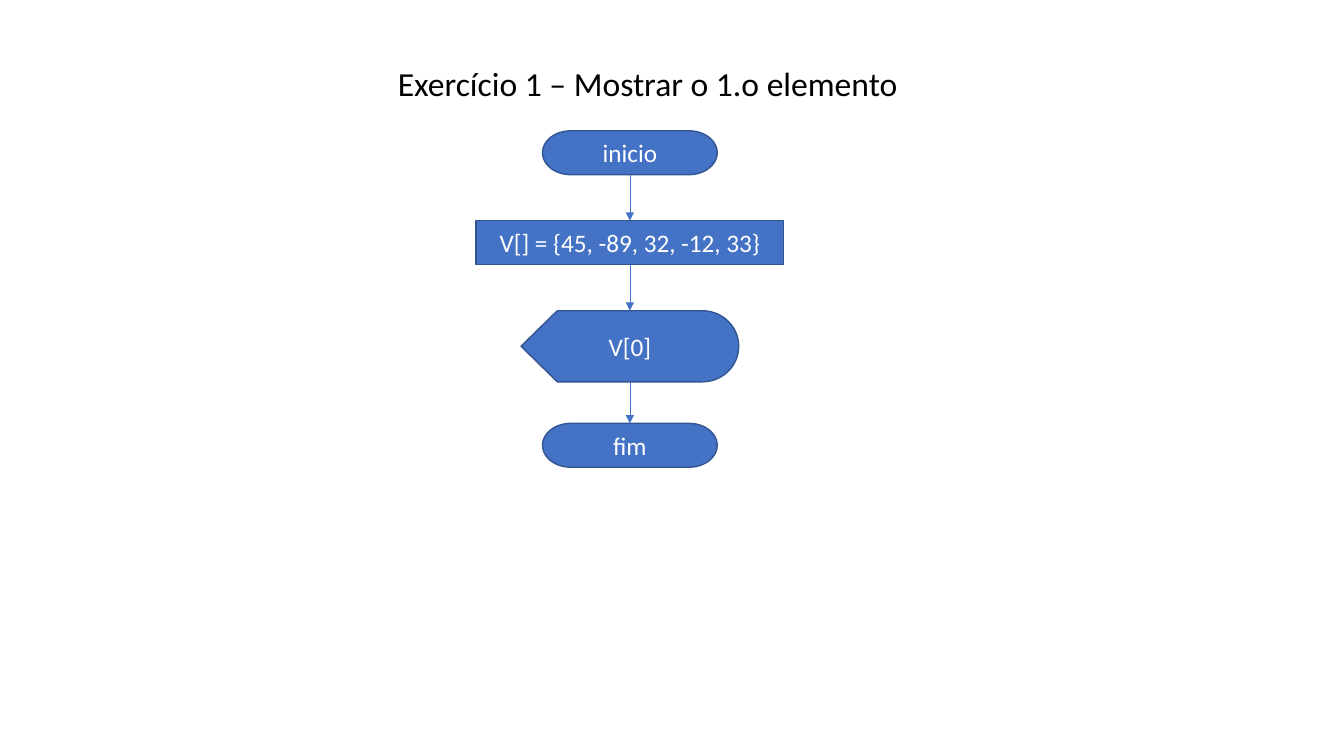
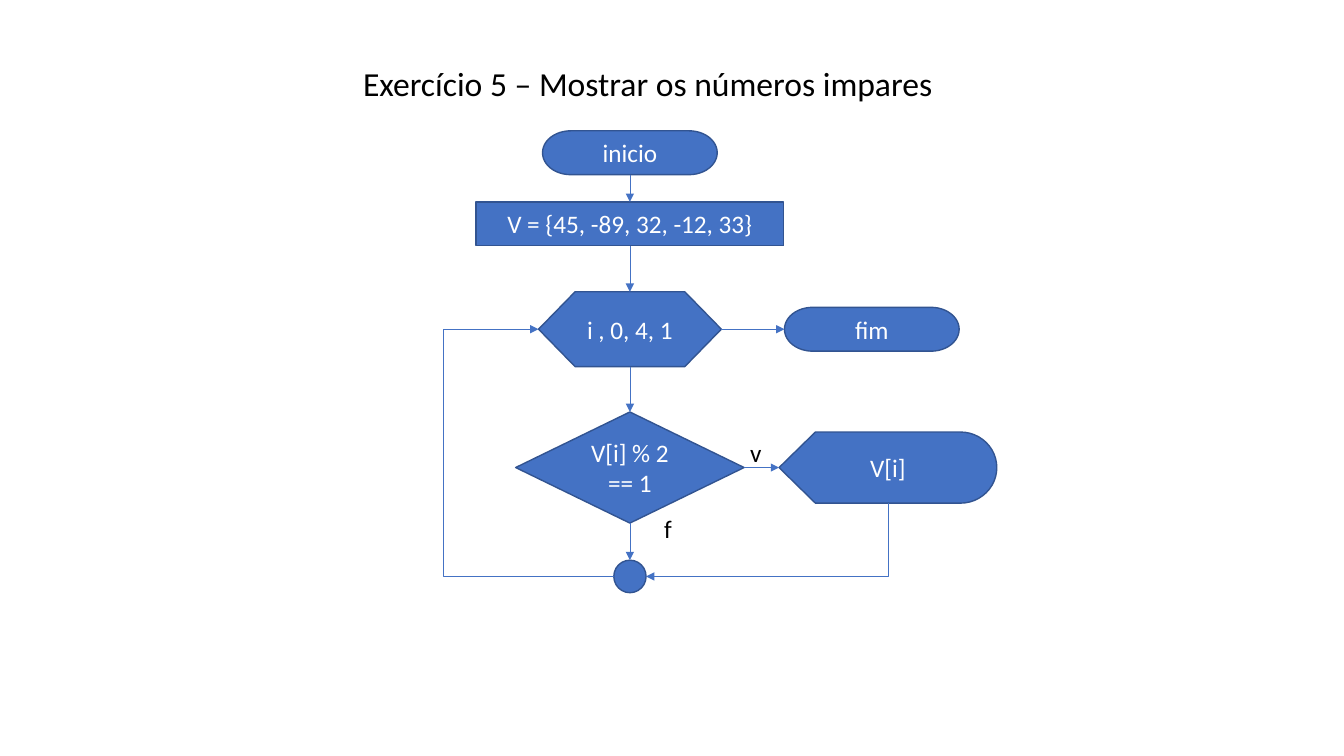
import pptx
import pptx.util
import pptx.dml.color
import pptx.enum.shapes
import pptx.enum.text
import pptx.oxml.ns
import lxml.etree

Inches, Pt = pptx.util.Inches, pptx.util.Pt
MSO = pptx.enum.shapes.MSO_SHAPE
ELBOW = pptx.enum.shapes.MSO_CONNECTOR.ELBOW
STRAIGHT = pptx.enum.shapes.MSO_CONNECTOR.STRAIGHT
CENTER = pptx.enum.text.PP_ALIGN.CENTER
MIDDLE = pptx.enum.text.MSO_ANCHOR.MIDDLE
qn = pptx.oxml.ns.qn

COLORS = {"node": "4472C4", "edge": "325491", "light": "FFFFFF", "dark": "000000"}
FONT = "Calibri"
WIDTH, HEIGHT = Inches(13.33), Inches(7.5)
TOP, LEFT, BOTTOM, RIGHT = range(4)

# All lengths are percentages of the slide's width or height
TITLE_BOX = (10.7, 8.7, 75, 5.7)
FLOW_BOX = (33, 17.3, 41.9, 61)
AXIS = 33.1  # main column, as a share of the flow box's width
SIZES = {
    MSO.FLOWCHART_TERMINATOR: (13, 5.8),
    MSO.FLOWCHART_PROCESS: (22.9, 5.8),
    MSO.FLOWCHART_DISPLAY: (16.2, 9.4),
    MSO.FLOWCHART_PREPARATION: (13.6, 9.9),
    MSO.FLOWCHART_DECISION: (17, 14.7),
    MSO.OVAL: (2.4, 4.3),
}


def px(share):
    return round(WIDTH * share / 100)


def py(share):
    return round(HEIGHT * share / 100)


def rgb(name):
    return pptx.dml.color.RGBColor.from_string(COLORS[name])


def write(tf, text, size=18, color="light", align=None, wrap=True):
    tf.word_wrap = wrap
    p = tf.paragraphs[0]
    p.alignment = align
    r = p.add_run()
    r.text = text
    r.font.size, r.font.name = Pt(size), FONT
    r.font.color.rgb = rgb(color)
    return p


def add_title(slide, text):
    x, y, w, h = TITLE_BOX
    sp = slide.shapes.add_textbox(px(x), py(y), px(w), py(h))
    p = write(sp.text_frame, text, size=24, color="dark", align=CENTER)
    p.line_spacing, p.space_before = 0.8, Pt(10)


def add_label(slide, text, left, top):
    sp = slide.shapes.add_textbox(left, top, px(2.2), py(5.3))
    write(sp.text_frame, text, color="dark", wrap=False)


def add_node(slide, kind, text, center, top):
    w, h = SIZES[kind]
    sp = slide.shapes.add_shape(kind, center - px(w) // 2, top, px(w), py(h))
    sp.shadow.inherit = False
    sp.fill.solid()
    sp.fill.fore_color.rgb = rgb("node")
    sp.line.color.rgb = rgb("edge")
    sp.line.width = Pt(1)
    if text:
        sp.text_frame.vertical_anchor = MIDDLE
        write(sp.text_frame, text, align=CENTER)
    return sp


def side_point(sp, side):
    mid_x, mid_y = sp.left + sp.width // 2, sp.top + sp.height // 2
    return {TOP: (mid_x, sp.top), LEFT: (sp.left, mid_y),
            BOTTOM: (mid_x, sp.top + sp.height),
            RIGHT: (sp.left + sp.width, mid_y)}[side]


def add_arrow(slide, start, start_side, end, end_side, kind=STRAIGHT, tip="tailEnd"):
    c = slide.shapes.add_connector(
        kind, *side_point(start, start_side), *side_point(end, end_side))
    if kind == STRAIGHT:
        c.begin_connect(start, start_side)
        c.end_connect(end, end_side)
    c.line.color.rgb = rgb("node")
    c.line.width = Pt(0.5)
    lxml.etree.SubElement(c.line._get_or_add_ln(), qn("a:" + tip), type="triangle")
    lxml.etree.SubElement(c._element.spPr, qn("a:effectLst"))
    return c


def bend(connector, preset, **guides):
    geom = connector._element.spPr.find(qn("a:prstGeom"))
    geom.set("prst", preset)
    for name, value in guides.items():
        lxml.etree.SubElement(geom.find(qn("a:avLst")), qn("a:gd"),
                              name=name, fmla=f"val {value}")


def add_column(slide, box, steps):
    """Stack (kind, text, gap above) steps on the axis, joined by arrows."""
    x, y, w, _ = box
    center, bottom, nodes = px(x + w * AXIS / 100), py(y), []
    for kind, text, gap in steps:
        sp = add_node(slide, kind, text, center, bottom + py(gap))
        if nodes:
            add_arrow(slide, nodes[-1], BOTTOM, sp, TOP)
        nodes.append(sp)
        bottom = sp.top + sp.height
    return nodes


def add_beside(slide, source, kind, text, gap):
    w, h = SIZES[kind]
    x, y = side_point(source, RIGHT)
    sp = add_node(slide, kind, text, x + px(gap + w / 2), y - py(h) // 2)
    add_arrow(slide, source, RIGHT, sp, LEFT)
    return sp


def first_element_flow(slide, box):
    add_column(slide, box, [
        (MSO.FLOWCHART_TERMINATOR, "inicio", 0),
        (MSO.FLOWCHART_PROCESS, "V[] = {45, -89, 32, -12, 33}", 6.1),
        (MSO.FLOWCHART_DISPLAY, "V[0]", 6.1),
        (MSO.FLOWCHART_TERMINATOR, "fim", 5.5),
    ])


def odd_numbers_flow(slide, box):
    _, _, loop, test, join = add_column(slide, box, [
        (MSO.FLOWCHART_TERMINATOR, "inicio", 0),
        (MSO.FLOWCHART_PROCESS, "V = {45, -89, 32, -12, 33}", 3.6),
        (MSO.FLOWCHART_PREPARATION, "i , 0, 4, 1", 6.1),
        (MSO.FLOWCHART_DECISION, "V[i] % 2 == 1", 6),
        (MSO.OVAL, "", 4.9),
    ])
    # Exit of the loop and true branch
    add_beside(slide, loop, MSO.FLOWCHART_TERMINATOR, "fim", 4.7)
    show = add_beside(slide, test, MSO.FLOWCHART_DISPLAY, "V[i]", 2.6)
    # Branches meet, then return along the box's left edge
    bend(add_arrow(slide, join, RIGHT, show, BOTTOM, ELBOW, "headEnd"),
         "bentConnector2")
    reach = (join.left - px(box[0])) / (join.left - loop.left)
    bend(add_arrow(slide, join, LEFT, loop, LEFT, ELBOW),
         "bentConnector3", adj1=round(reach * 100000))
    # Branch labels
    add_label(slide, "v", test.left + test.width - px(0.3), test.top + py(2.7))
    add_label(slide, "f", side_point(test, BOTTOM)[0] + px(1.8),
              test.top + test.height - py(2))


def main():
    prs = pptx.Presentation()
    prs.slide_width, prs.slide_height = WIDTH, HEIGHT
    for title, flow in [
        ("Exercício 1 – Mostrar o 1.o elemento", first_element_flow),
        ("Exercício 5 – Mostrar os números impares", odd_numbers_flow),
    ]:
        slide = prs.slides.add_slide(prs.slide_layouts[6])
        add_title(slide, title)
        flow(slide, FLOW_BOX)
    prs.save("out.pptx")


if __name__ == "__main__":
    main()
